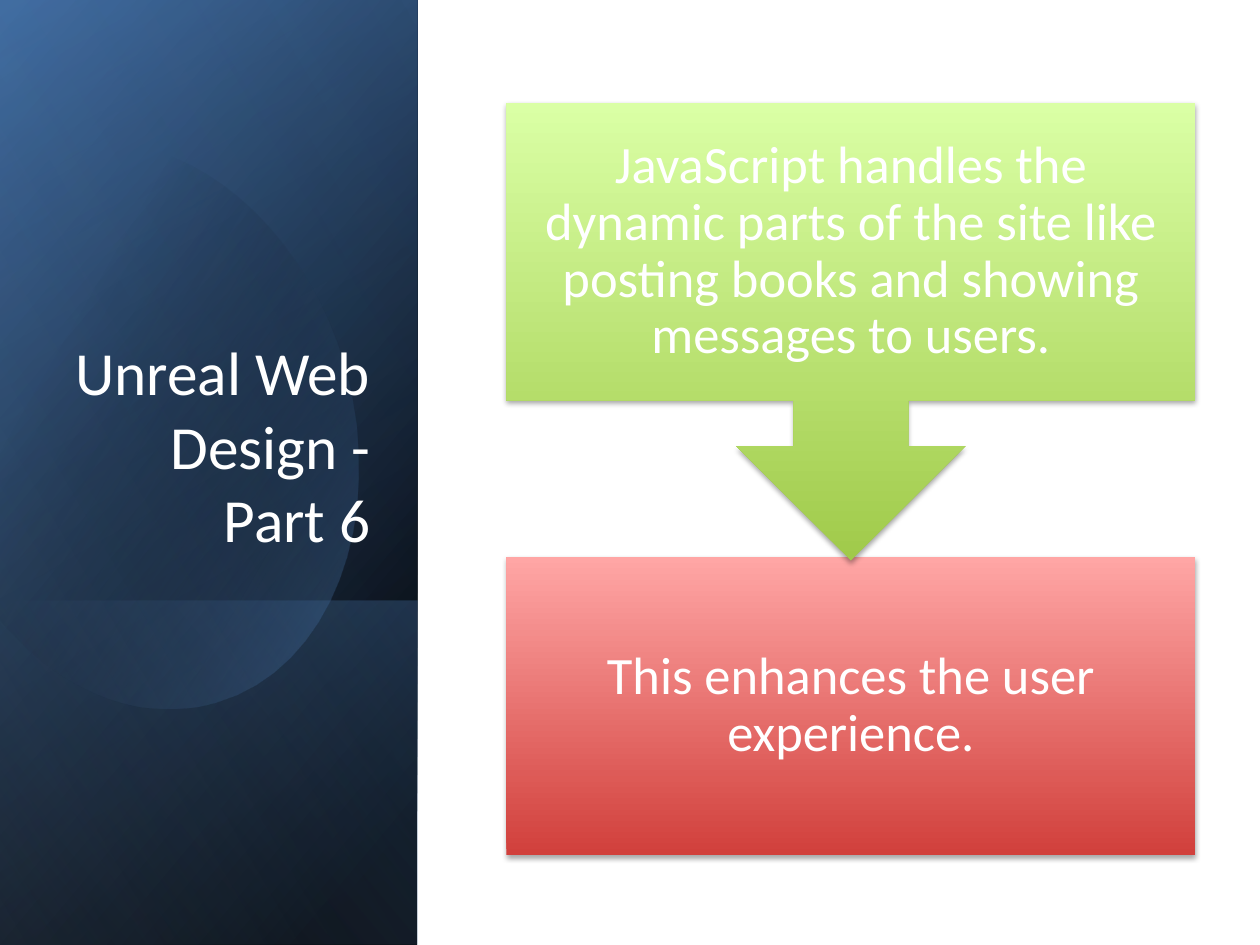
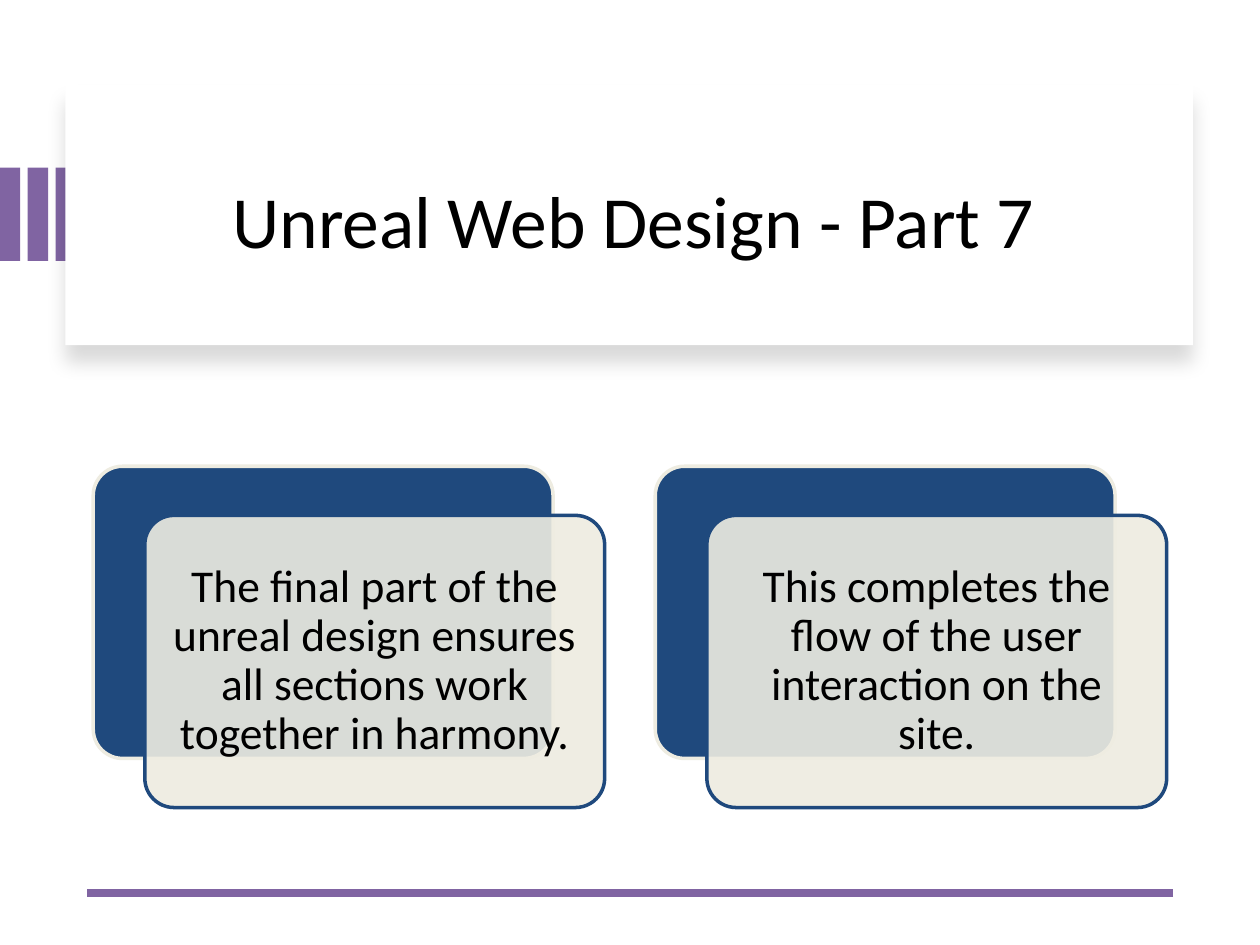
from lxml import etree
from pptx import Presentation
from pptx.dml.color import RGBColor
from pptx.enum.shapes import MSO_CONNECTOR, MSO_SHAPE
from pptx.enum.text import MSO_ANCHOR, MSO_AUTO_SIZE, PP_ALIGN
from pptx.oxml.ns import qn
from pptx.util import Cm, Pt

RECT, ROUNDED = MSO_SHAPE.RECTANGLE, MSO_SHAPE.ROUNDED_RECTANGLE
CALLOUT, STRAIGHT = MSO_SHAPE.DOWN_ARROW_CALLOUT, MSO_CONNECTOR.STRAIGHT
CENTER, RIGHT = PP_ALIGN.CENTER, PP_ALIGN.RIGHT
MIDDLE, BOTTOM = MSO_ANCHOR.MIDDLE, MSO_ANCHOR.BOTTOM
NO_FIT = MSO_AUTO_SIZE.NONE

WHITE = RGBColor(0xFF, 0xFF, 0xFF)
BLACK = RGBColor(0x00, 0x00, 0x00)
BLUE = RGBColor(0x4F, 0x81, 0xBD)
DEEP_BLUE = RGBColor(0x37, 0x60, 0x92)
PALE_BLUE = RGBColor(0x95, 0xB3, 0xD7)
NAVY = RGBColor(0x1F, 0x49, 0x7D)
CREAM = RGBColor(0xEE, 0xEC, 0xE1)
PURPLE = RGBColor(0x80, 0x64, 0xA2)
RED, PINK = RGBColor(0xD1, 0x40, 0x3C), RGBColor(0xFF, 0xA6, 0xA5)
GREEN, LIME = RGBColor(0xA0, 0xCA, 0x4A), RGBColor(0xDA, 0xFF, 0xA5)

FONT = "Calibri"
WIDTH, HEIGHT = 25.4, 19.05
PANEL_WIDTH = 8.41
SOFT_SHADOW = {"opacity": 35, "blur": 3.1, "distance": 1.8}
CARD_SHADOW = {"opacity": 15, "blur": 11, "distance": 10}


def set_values(target, values):
    """Set every attribute named in a dict."""
    for name, value in values.items():
        setattr(target, name, value)


def bezier(points, steps=16):
    """Return points along a cubic curve, without its first point."""
    curve = []
    for step in range(1, steps + 1):
        t = step / steps
        weights = ((1 - t) ** 3, 3 * t * (1 - t) ** 2, 3 * t * t * (1 - t), t ** 3)
        curve.append(tuple(sum(weight * point[axis] for weight, point in zip(weights, points))
                           for axis in (0, 1)))
    return curve


class Deck:
    """Hold the shared style and the current slide."""

    def __init__(self):
        """Start an empty deck."""
        self.file = Presentation()
        set_values(self.file, {"slide_width": Cm(WIDTH), "slide_height": Cm(HEIGHT)})
        self.page = None

    def add_page(self):
        """Add a title-only slide."""
        self.page = self.file.slides.add_slide(self.file.slide_layouts[5])

    def text(self, box, words, size, color, align=CENTER, anchor=MIDDLE, inset=None, spacing=None):
        """Put one formatted paragraph in a shape."""
        frame = box.text_frame
        set_values(frame, {"word_wrap": True, "auto_size": NO_FIT, "vertical_anchor": anchor})
        if inset is not None:
            sides = ("left", "top", "right", "bottom")
            set_values(frame, {f"margin_{side}": Cm(inset) for side in sides})
        para = frame.paragraphs[0]
        set_values(para, {"alignment": align, "line_spacing": spacing})
        span = para.add_run()
        span.text = words
        set_values(span.font, {"name": FONT, "size": Pt(size)})
        span.font.color.rgb = color

    def title(self, words, place, size, color, **layout):
        """Place the title above the shapes drawn so far."""
        box = self.page.shapes.title
        set_values(box, dict(zip(("left", "top", "width", "height"), map(Cm, place))))
        self.text(box, words, size, color, **layout)
        self.page.shapes._spTree.append(box._element)

    def shape(self, kind, place, fill=None, opacity=100, line=None):
        """Add a preset shape with a plain fill and an optional outline."""
        box = self.page.shapes.add_shape(kind, *map(Cm, place))
        box.shadow.inherit = False
        if fill is not None:
            box.fill.solid()
            box.fill.fore_color.rgb = fill
            self.fade(box, [opacity])
        if line is None:
            box.line.fill.background()
        else:
            box.line.color.rgb = line
            box.line.width = Pt(2)
        return box

    def fade(self, box, opacities):
        """Give the fill colours of a shape their opacity."""
        colors = box._element.spPr.iter(qn("a:srgbClr"))
        for color, opacity in zip(colors, opacities):
            if opacity < 100:
                etree.SubElement(color, qn("a:alpha"), val=str(opacity * 1000))

    def gradient(self, box, angle, *stops):
        """Fill a shape with stops of position, colour and opacity, angle clockwise."""
        box.fill.gradient()
        box.fill.gradient_angle = 360 - angle
        for stop, (position, color, _) in zip(box.fill.gradient_stops, stops):
            stop.position = position / 100
            stop.color.rgb = color
        self.fade(box, [opacity for _, _, opacity in stops])

    def shadow(self, box, opacity, blur, distance):
        """Drop a black shadow straight down."""
        effects = box._element.spPr.find(qn("a:effectLst"))
        outer = etree.SubElement(effects, qn("a:outerShdw"), blurRad=str(Pt(blur)),
                                 dist=str(Pt(distance)), dir="5400000", rotWithShape="0")
        color = etree.SubElement(outer, qn("a:srgbClr"), val=str(BLACK))
        etree.SubElement(color, qn("a:alpha"), val=str(opacity * 1000))

    def outline(self, points):
        """Add a closed freeform without a line."""
        corners = [(Cm(x), Cm(y)) for x, y in points]
        builder = self.page.shapes.build_freeform(*corners[0], scale=1.0)
        builder.add_line_segments(corners[1:], close=True)
        box = builder.convert_to_shape()
        box.shadow.inherit = False
        box.line.fill.background()
        return box

    def rule(self, start, end, color, width):
        """Draw a straight line."""
        line = self.page.shapes.add_connector(STRAIGHT, *map(Cm, start + end))
        line.line.color.rgb = color
        line.line.width = Pt(width)
        etree.SubElement(line._element.spPr, qn("a:effectLst"))


def side_panel(deck):
    """Layer the dark blue panel with its curved glow."""
    panel = (0, 0, PANEL_WIDTH, HEIGHT)
    lower = (0, 12.1, PANEL_WIDTH, 6.95)
    layers = (
        (panel, 220, (8, BLACK, 100), (100, DEEP_BLUE, 100)),
        (panel, 240, (0, BLACK, 0), (99, BLUE, 46)),
        (lower, 140, (2, BLUE, 29), (100, BLACK, 30)),
    )
    for place, angle, *stops in layers:
        deck.gradient(deck.shape(RECT, place), angle, *stops)

    top, side, base, corner = (2.44, 2.9), (6.93, 7.37), (4.34, 14.15), (0.18, 12.7)
    glow = [top]
    glow += bezier((top, (4.34, 3.1), (6.2, 4.88), side))
    glow += bezier((side, (7.8, 10.46), (6.65, 13.49), base))
    glow += bezier((base, (2.9, 14.58), (1.35, 13.97), corner))
    glow += [(-0.08, 12.4), (-0.64, 4.22), (-0.38, 3.91)]
    glow += bezier((glow[-1], (0.05, 3.48), (0.56, 3.18), (1.14, 3)))
    glow += bezier((glow[-1], (1.57, 2.87), (2.01, 2.84), top))
    deck.gradient(deck.outline(glow), 30, (29, BLACK, 0), (100, BLUE, 43))
    deck.gradient(deck.shape(RECT, panel), 150, (0, BLACK, 0), (99, PALE_BLUE, 11))


def part_six(deck):
    """Build the slide with the flow from script to experience."""
    deck.add_page()
    side_panel(deck)
    deck.title("Unreal Web Design - Part 6", (1.22, 4.67, 6.5, 6.65), 35, WHITE,
               align=RIGHT, anchor=BOTTOM)
    steps = (
        (RECT, 11.23, 6, RED, PINK, "This enhances the user experience."),
        (CALLOUT, 2.08, 9.22, GREEN, LIME,
         "JavaScript handles the dynamic parts of the site like posting books "
         "and showing messages to users."),
    )
    for kind, top, height, dark, light, words in steps:
        box = deck.shape(kind, (10.21, top, 13.89, height))
        deck.gradient(box, 270, (0, dark, 100), (100, light, 100))
        deck.shadow(box, **SOFT_SHADOW)
        deck.text(box, words, 30, WHITE, inset=0.58, spacing=0.9)


def part_seven(deck):
    """Build the slide with two layered cards."""
    deck.add_page()
    for index in range(3):
        deck.shape(RECT, (index * 0.56, 3.38, 0.41, 1.88), PURPLE)
    title_card = deck.shape(RECT, (1.32, 1.7, 22.73, 5.26), WHITE)
    deck.shadow(title_card, **CARD_SHADOW)
    deck.title("Unreal Web Design - Part 7", (2.18, 2.26, 21.18, 4.32), 42, BLACK)
    deck.rule((23.65, 18.01), (1.75, 18.01), PURPLE, 4.5)

    messages = (
        "The final part of the unreal design ensures all sections work together in harmony.",
        "This completes the flow of the user interaction on the site.",
    )
    for index, words in enumerate(messages):
        left, top, size = 1.88 + index * 11.33, 9.4, (9.27, 5.89)
        back = deck.shape(ROUNDED, (left, top, *size), NAVY, line=CREAM)
        front = deck.shape(ROUNDED, (left + 1.04, top + 0.99, *size), CREAM, 90, NAVY)
        for box in (back, front):
            box.adjustments[0] = 0.1
        deck.text(front, words, 26, BLACK, inset=0.28, spacing=0.9)


def main():
    """Build and save the deck."""
    deck = Deck()
    part_six(deck)
    part_seven(deck)
    deck.file.save("out.pptx")


if __name__ == "__main__":
    main()
